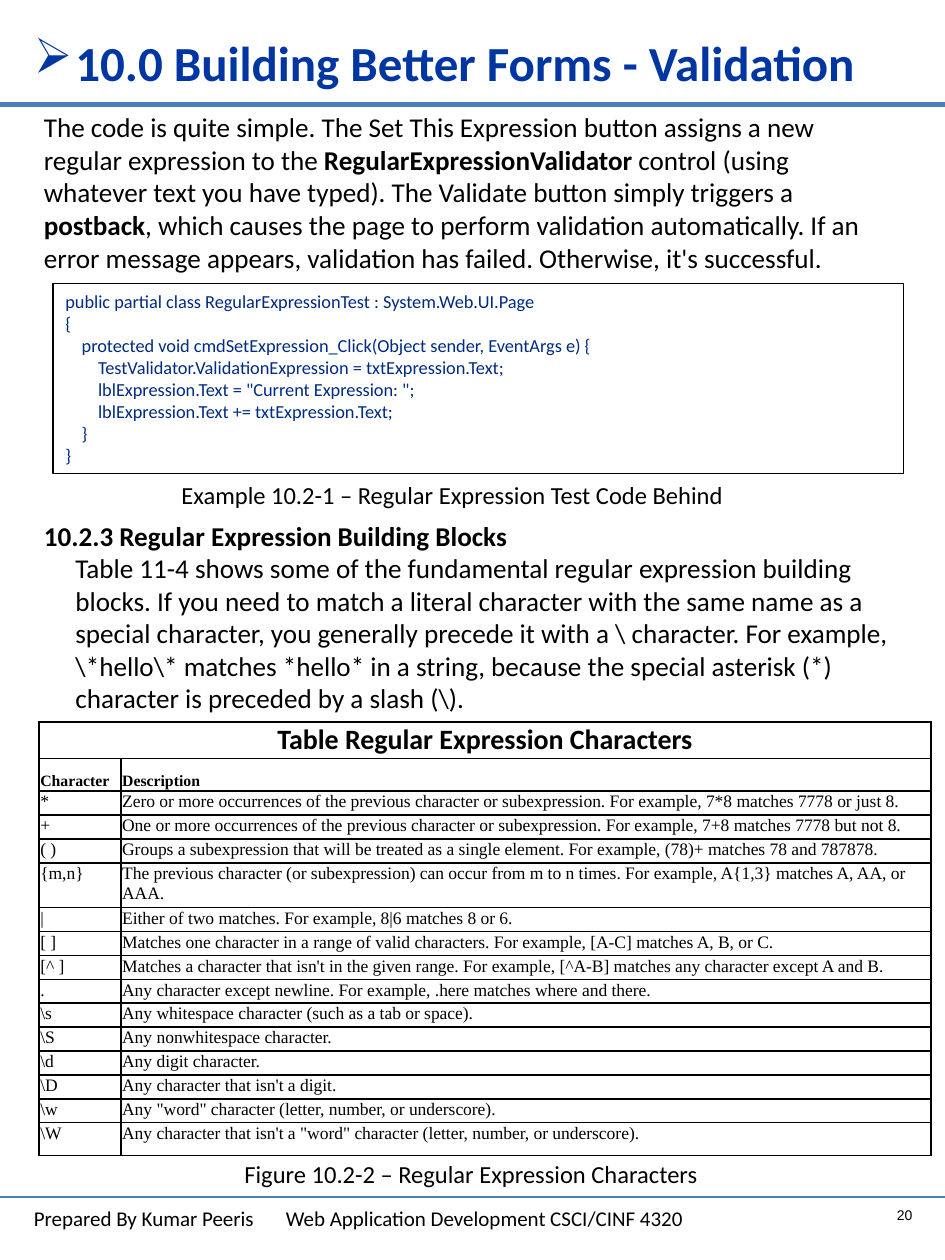
from dataclasses import dataclass

from lxml.etree import SubElement
from pptx import Presentation
from pptx.dml.color import RGBColor
from pptx.enum.shapes import MSO_CONNECTOR, MSO_SHAPE
from pptx.enum.text import MSO_ANCHOR, PP_ALIGN
from pptx.oxml.ns import qn
from pptx.util import Inches, Pt

BLACK, BLUE, NAVY, RULE = "000000", "0036A2", "002B82", "4B7EBC"


@dataclass
class Para:
    text: str  # parts between ~ marks are bold
    left: float = 0
    hang: float = 0
    bold: bool = False
    bullet: str = ""
    tab: float = 0


@dataclass
class Block:
    box: tuple[float, float, float, float]
    paras: list[Para]
    size: float
    color: str = BLACK
    font: str = "Calibri"
    align: PP_ALIGN = PP_ALIGN.LEFT
    anchor: MSO_ANCHOR = MSO_ANCHOR.TOP
    inset: float = 0.1
    frame: bool = False


@dataclass
class Rule:
    top: float
    width: float


def rgb(code: str) -> RGBColor:
    return RGBColor.from_string(code)


def style(para, size: float, font: str, color: str, bold: bool, align) -> None:
    para.alignment = align
    para.font.size, para.font.name, para.font.bold = Pt(size), font, bold
    para.font.color.rgb = rgb(color)


def write(para, item: Para, block: Block) -> None:
    props = para._p.get_or_add_pPr()
    props.set("marL", str(Inches(item.left)))
    props.set("indent", str(Inches(-item.hang)))
    if item.bullet:
        SubElement(props, qn("a:buChar"), char=item.bullet)
    if item.tab:
        tabs = SubElement(props, qn("a:tabLst"))
        SubElement(tabs, qn("a:tab"), pos=str(Inches(item.tab)), algn="l")
    style(para, block.size, block.font, block.color, item.bold, block.align)
    for i, part in enumerate(item.text.split("~")):
        if part:
            run = para.add_run()
            run.text = part
            if i % 2:
                run.font.bold = True


def draw_block(shapes, block: Block) -> None:
    box = [Inches(v) for v in block.box]
    if block.frame:
        shape = shapes.add_shape(MSO_SHAPE.RECTANGLE, *box)
        shape.shadow.inherit = False
        shape.fill.background()
        shape.line.color.rgb, shape.line.width = rgb(BLACK), Pt(0.75)
    else:
        shape = shapes.add_textbox(*box)
    frame = shape.text_frame
    frame.word_wrap, frame.vertical_anchor = True, block.anchor
    frame.margin_left = frame.margin_right = Inches(block.inset)
    frame.margin_top = frame.margin_bottom = Inches(0.05)
    for i, item in enumerate(block.paras):
        write(frame.add_paragraph() if i else frame.paragraphs[0], item, block)


def draw_rule(shapes, rule: Rule) -> None:
    top = Inches(rule.top)
    line = shapes.add_connector(MSO_CONNECTOR.STRAIGHT, 0, top, Inches(7.5), top)
    line.line.color.rgb, line.line.width = rgb(RULE), Pt(rule.width)
    SubElement(line._element.spPr, qn("a:effectLst"))


def draw_cell(cell, text: str, size: float, font: str, bold: bool, align, anchor) -> None:
    cell.margin_left = cell.margin_right = Inches(0.01)
    cell.margin_top = cell.margin_bottom = Inches(0.01)
    cell.vertical_anchor = anchor
    props = cell._tc.get_or_add_tcPr()
    for side in ("lnL", "lnR", "lnT", "lnB"):
        edge = SubElement(props, qn(f"a:{side}"), w=str(Pt(1)))
        fill = SubElement(edge, qn("a:solidFill"))
        SubElement(fill, qn("a:srgbClr"), val=BLACK)
    cell.fill.background()
    para = cell.text_frame.paragraphs[0]
    if text:
        para.add_run().text = text
    style(para, size, font, BLACK, bold, align)


def draw_table(shapes, rows: list[tuple[str, str]]) -> None:
    box = [Inches(v) for v in (0.31, 5.73, 7.08, 3.43)]
    table = shapes.add_table(len(rows), 2, *box).table
    table.first_row = table.horz_banding = False
    for col, width in zip(table.columns, (0.65, 6.43)):
        col.width = Inches(width)
    high = {0: 0.29, 1: 0.26, 5: 0.35, len(rows) - 1: 0.26}
    looks = {
        0: (16, "Calibri", True, PP_ALIGN.CENTER, MSO_ANCHOR.MIDDLE),
        1: (9, "Times New Roman", True, PP_ALIGN.LEFT, MSO_ANCHOR.BOTTOM),
    }
    plain = (10, "Times New Roman", False, PP_ALIGN.LEFT, MSO_ANCHOR.TOP)
    for r, row in enumerate(rows):
        table.rows[r].height = Inches(high.get(r, 0.19))
        for c, text in enumerate(row):
            draw_cell(table.cell(r, c), text, *looks.get(r, plain))
    table.cell(0, 0).merge(table.cell(0, 1))


# Content
INTRO = [
    "The code is quite simple. The Set This Expression button assigns a new",
    "regular expression to the ~RegularExpressionValidator~ control (using",
    "whatever text you have typed). The Validate button simply triggers a",
    "~postback~, which causes the page to perform validation automatically. If an",
    "error message appears, validation has failed. Otherwise, it's successful.",
]
CODE = [
    (0, "public partial class RegularExpressionTest : System.Web.UI.Page"),
    (0, "{"),
    (1, "protected void cmdSetExpression_Click(Object sender, EventArgs e) {"),
    (2, "TestValidator.ValidationExpression = txtExpression.Text;"),
    (2, 'lblExpression.Text = "Current Expression: ";'),
    (2, "lblExpression.Text += txtExpression.Text;"),
    (1, "}"),
    (0, "}"),
]
BODY = (
    "Table 11-4 shows some of the fundamental regular expression building blocks. "
    "If you need to match a literal character with the same name as a special "
    "character, you generally precede it with a \\ character. For example, "
    "\\*hello\\* matches *hello* in a string, because the special asterisk (*) "
    "character is preceded by a slash (\\)."
)
ROWS = [
    ("Table Regular Expression Characters", ""),
    ("Character", "Description"),
    ("*", "Zero or more occurrences of the previous character or subexpression. For example, 7*8 matches 7778 or just 8."),
    ("+", "One or more occurrences of the previous character or subexpression. For example, 7+8 matches 7778 but not 8."),
    ("( )", "Groups a subexpression that will be treated as a single element. For example, (78)+ matches 78 and 787878."),
    ("{m,n}", "The previous character (or subexpression) can occur from m to n times. For example, A{1,3} matches A, AA, or AAA."),
    ("|", "Either of two matches. For example, 8|6 matches 8 or 6."),
    ("[ ]", "Matches one character in a range of valid characters. For example, [A-C] matches A, B, or C."),
    ("[^ ]", "Matches a character that isn't in the given range. For example, [^A-B] matches any character except A and B."),
    (".", "Any character except newline. For example, .here matches where and there."),
    ("\\s", "Any whitespace character (such as a tab or space)."),
    ("\\S", "Any nonwhitespace character."),
    ("\\d", "Any digit character."),
    ("\\D", "Any character that isn't a digit."),
    ("\\w", 'Any "word" character (letter, number, or underscore).'),
    ("\\W", "Any character that isn't a \"word\" character (letter, number, or underscore)."),
]
FOOT = "Prepared By Kumar Peeris\tWeb Application Development CSCI/CINF 4320"
TITLE = Para("10.0 Building Better Forms - Validation", 0.33, 0.33, True, "\u27a2")
HEAD = Para("10.2.3 Regular Expression Building Blocks", 0.25, 0.25, True)
BLOCKS = [
    Block((6.88, 9.33, 0.46, 0.43), [Para("20")], 8, font="Arial",
          align=PP_ALIGN.RIGHT, anchor=MSO_ANCHOR.BOTTOM),
    Block((0.25, 0.83, 7.12, 6.33), [Para(t) for t in INTRO], 15.5),
    Block((0.17, 9.52, 7, 0.3), [Para(FOOT, tab=2.52)], 12),
    Block((0.42, 2.25, 6.75, 1.51), [Para(t, 0.13 * n) for n, t in CODE], 10.5, NAVY, frame=True),
    Block((1.33, 3.76, 4.67, 0.25),
          [Para("Example 10.2-1 – Regular Expression Test Code Behind")], 14, inset=0.11),
    Block((0.25, 4.07, 7.12, 1.67), [HEAD, Para(BODY, 0.25)], 15.5),
    Block((1.83, 9.15, 4, 0.25),
          [Para("Figure 10.2-2 – Regular Expression Characters")], 14, inset=0.11),
    Block((0.17, 0.21, 7.29, 0.57), [TITLE], 28, BLUE),
]

# Slide
deck = Presentation()
deck.slide_width, deck.slide_height = Inches(7.5), Inches(10)
shapes = deck.slides.add_slide(deck.slide_layouts[6]).shapes
for rule in (Rule(0.83, 3.25), Rule(9.5, 0.75)):
    draw_rule(shapes, rule)
for block in BLOCKS:
    draw_block(shapes, block)
draw_table(shapes, ROWS)
deck.save("out.pptx")
